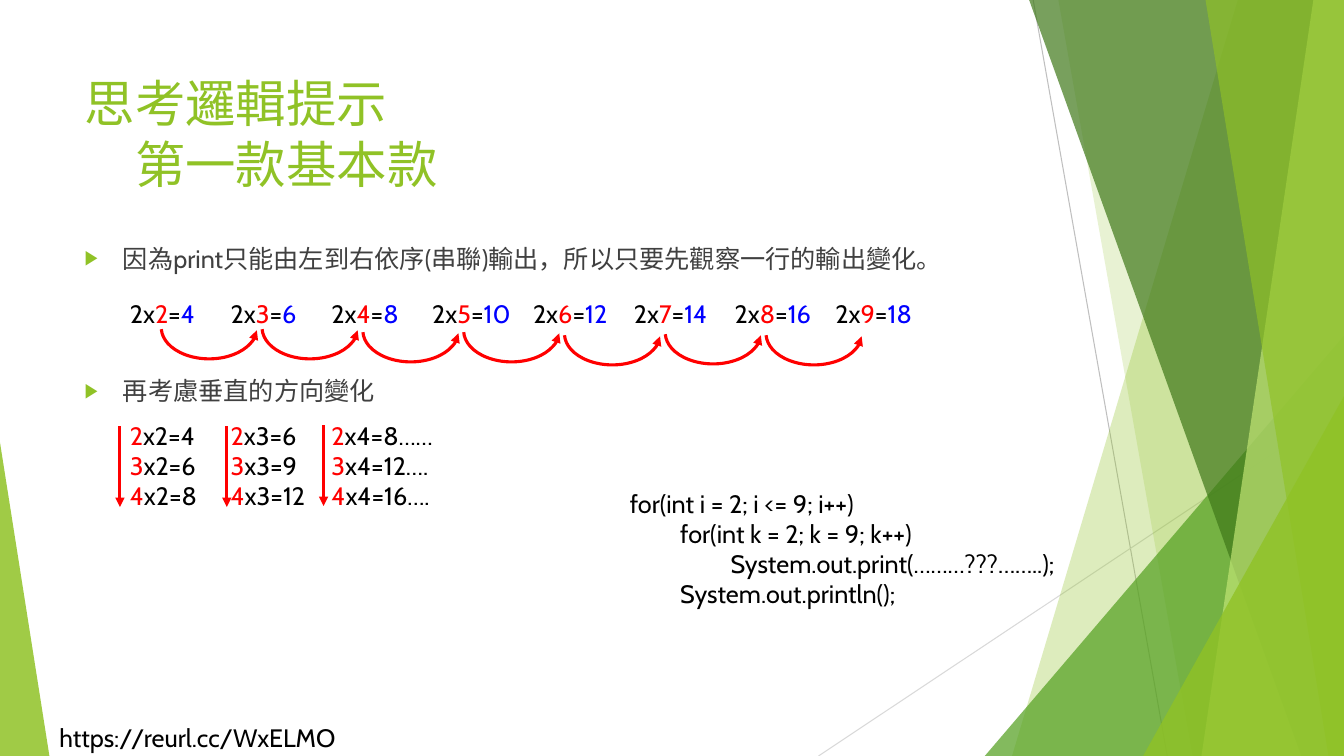
from dataclasses import dataclass

from lxml import etree
from pptx import Presentation
from pptx.dml.color import RGBColor
from pptx.enum.shapes import MSO_CONNECTOR, MSO_SHAPE
from pptx.enum.text import MSO_ANCHOR, MSO_AUTO_SIZE, PP_ALIGN
from pptx.oxml.ns import qn
from pptx.shapes.base import BaseShape
from pptx.slide import Slide
from pptx.text.text import TextFrame, _Paragraph as Paragraph
from pptx.util import Inches, Pt

STRAIGHT = MSO_CONNECTOR.STRAIGHT
TRIANGLE = MSO_SHAPE.ISOSCELES_TRIANGLE
ARC = MSO_SHAPE.ARC
TOP = MSO_ANCHOR.TOP
LEFT = PP_ALIGN.LEFT
FIXED_SIZE = MSO_AUTO_SIZE.NONE

COLUMNS, ROWS = 80, 45
CELL = Inches(1) // 6
FONT = "Cabin"
COLORS = {
    "lime": "90C226", "green": "54A021", "forest": "3F7819", "pale": "C0E474",
    "gray": "BFBFBF", "silver": "D9D9D9", "text": "404040",
    "black": "000000", "white": "FFFFFF", "red": "FF0000", "blue": "0000FF",
}
FRAME_FORMAT = {"word_wrap": True, "auto_size": FIXED_SIZE, "vertical_anchor": TOP}


@dataclass
class Box:
    column: float
    row: float
    width: float
    height: float


@dataclass
class Line:
    start: tuple[float, float]
    end: tuple[float, float]
    color: str
    weight: float
    arrow: bool = False


@dataclass
class Band:
    top: float
    bottom: float
    color: str
    opacity: int


@dataclass
class Corner:
    box: Box
    apex: float
    color: str
    opacity: int


@dataclass
class Piece:
    text: str
    color: str = "black"


BACKGROUND_LINES = [
    Line((61.5, 0), (69.48, ROWS), "gray", 0.75),
    Line((COLUMNS, 24.18), (48.72, ROWS), "silver", 0.75),
]
FACETS = [
    Band(73.68, 60.24, "lime", 30),
    Band(63, 70.98, "lime", 20),
    Corner(Box(58.62, 19.98, 21.38, 25.02), 1, "green", 72),
    Band(61.26, 77.46, "forest", 70),
    Band(78.18, 71.52, "pale", 70),
    Band(71.76, 79.08, "lime", 65),
    Corner(Box(68.04, 23.58, 11.96, 21.42), 1, "lime", 80),
    Corner(Box(0, 26.34, 2.94, 18.66), 0, "lime", 85),
]
ARC_ROWS = [17.64, 17.64, 17.82, 17.82, 18, 17.94, 18]
DOWN_ARROWS = [(7.14, 25.38), (13.5, 25.38), (19.26, 25.32)]
ROW_ENDINGS = {2: "……", 3: "….", 4: "…."}
BULLETS = [
    ("因為print只能由左到右依序(串聯)輸出，所以只要先觀察一行的輸出變化。", 0),
    ("再考慮垂直的方向變化", 73),
]
CODE = [
    "for(int i = 2; i <= 9; i++)",
    "\tfor(int k = 2; k = 9; k++)",
    "\t\tSystem.out.print(………???……..);",
    "\tSystem.out.println();",
]


def cells(count: float) -> int:
    return round(count * CELL)


def rgb(name: str) -> RGBColor:
    return RGBColor.from_string(COLORS[name])


def bounds(box: Box) -> list[int]:
    return [cells(side) for side in (box.column, box.row, box.width, box.height)]


def place(shape: BaseShape, box: Box) -> None:
    for name, value in zip(("left", "top", "width", "height"), bounds(box)):
        setattr(shape, name, value)


def format_frame(frame: TextFrame) -> None:
    for name, value in FRAME_FORMAT.items():
        setattr(frame, name, value)


def add_piece(paragraph: Paragraph, piece: Piece, size: float = 18) -> None:
    run = paragraph.add_run()
    run.text = piece.text
    for name, value in {"name": FONT, "size": Pt(size)}.items():
        setattr(run.font, name, value)
    run.font.color.rgb = rgb(piece.color)


def add_text(slide: Slide, box: Box, lines: list[list[Piece]]) -> BaseShape:
    shape = slide.shapes.add_textbox(*bounds(box))
    format_frame(shape.text_frame)
    for index, pieces in enumerate(lines):
        paragraph = shape.text_frame.add_paragraph() if index else shape.text_frame.paragraphs[0]
        for piece in pieces:
            add_piece(paragraph, piece)
    return shape


def style_line(shape: BaseShape, color: str, weight: float, arrow_end: str = "") -> None:
    shape.line.color.rgb = rgb(color)
    shape.line.width = Pt(weight)
    if arrow_end:
        outline = shape.element.spPr.find(qn("a:ln"))
        etree.SubElement(outline, qn(f"a:{arrow_end}"), type="triangle")


def add_line(slide: Slide, line: Line) -> None:
    ends = [cells(value) for value in (*line.start, *line.end)]
    connector = slide.shapes.add_connector(STRAIGHT, *ends)
    style_line(connector, line.color, line.weight, "tailEnd" if line.arrow else "")
    etree.SubElement(connector.element.spPr, qn("a:effectLst"))


def add_facet(slide: Slide, facet: Band | Corner) -> None:
    if isinstance(facet, Corner):
        shape = slide.shapes.add_shape(TRIANGLE, *bounds(facet.box))
        shape.adjustments[0] = facet.apex
    else:
        builder = slide.shapes.build_freeform(cells(facet.top), 0)
        corners = [(COLUMNS, 0), (COLUMNS, ROWS), (facet.bottom, ROWS)]
        builder.add_line_segments([(cells(x), cells(y)) for x, y in corners])
        shape = builder.convert_to_shape()
    shape.shadow.inherit = False
    shape.line.fill.background()
    shape.fill.solid()
    shape.fill.fore_color.rgb = rgb(facet.color)
    color = shape.element.spPr.find(f"{qn('a:solidFill')}/{qn('a:srgbClr')}")
    etree.SubElement(color, qn("a:alpha"), val=str(facet.opacity * 1000))


def add_arc(slide: Slide, box: Box) -> None:
    shape = slide.shapes.add_shape(ARC, *bounds(box))
    shape.adjustments[0], shape.adjustments[1] = 1.94, 106.85
    shape.shadow.inherit = False
    shape.fill.background()
    style_line(shape, "red", 2.25, "headEnd")


def fill_title(slide: Slide) -> None:
    title = slide.shapes.title
    place(title, Box(4.44, 4.02, 56.4, 8.64))
    format_frame(title.text_frame)
    paragraph = title.text_frame.paragraphs[0]
    paragraph.alignment = LEFT
    add_piece(paragraph, Piece("思考邏輯提示", "lime"), 36)
    paragraph.add_line_break()
    add_piece(paragraph, Piece("\t第一款基本款", "lime"), 36)


def fill_body(slide: Slide) -> None:
    body = slide.placeholders[1]
    place(body, Box(4.44, 14.16, 56.4, 25.44))
    format_frame(body.text_frame)
    for index, (text, space) in enumerate(BULLETS):
        paragraph = body.text_frame.add_paragraph() if index else body.text_frame.paragraphs[0]
        properties = paragraph._p.get_or_add_pPr()
        properties.set("marL", str(Inches(0.38)))
        properties.set("indent", str(-Inches(0.38)))
        bullet_color = etree.SubElement(properties, qn("a:buClr"))
        etree.SubElement(bullet_color, qn("a:srgbClr"), val=COLORS["lime"])
        etree.SubElement(properties, qn("a:buSzPct"), val="80000")
        etree.SubElement(properties, qn("a:buChar"), char="▶")
        paragraph.space_before = Pt(space)
        add_piece(paragraph, Piece(text, "text"))


def horizontal_products() -> list[Piece]:
    pieces = []
    for factor in range(2, 10):
        gap = "\t" if factor < 9 else ""
        pieces += [Piece("2x"), Piece(str(factor), "red"), Piece("="), Piece(f"{2 * factor}{gap}", "blue")]
    return pieces


def vertical_products(row: int) -> list[Piece]:
    pieces = []
    for factor in range(2, 5):
        ending = "\t" if factor < 4 else ROW_ENDINGS[row]
        pieces += [Piece(str(row), "red"), Piece(f"x{factor}={row * factor}{ending}")]
    return pieces


def main() -> None:
    presentation = Presentation()
    presentation.slide_width, presentation.slide_height = cells(COLUMNS), cells(ROWS)
    slide = presentation.slides.add_slide(presentation.slide_layouts[1])
    fill_title(slide)
    fill_body(slide)
    for line in BACKGROUND_LINES:
        add_line(slide, line)
    for facet in FACETS:
        add_facet(slide, facet)
    add_text(slide, Box(2.94, 42.72, 18.72, 2.4), [[Piece("https://reurl.cc/WxELMO")]])
    add_text(slide, Box(7.14, 17.46, 48.36, 2.4), [horizontal_products()])
    add_text(slide, Box(7.14, 24.72, 40.02, 6.06), [vertical_products(row) for row in ROW_ENDINGS])
    for index, row in enumerate(ARC_ROWS):
        add_arc(slide, Box(9.6 + 6 * index, row, 5.7, 3.72))
    for column, row in DOWN_ARROWS:
        add_line(slide, Line((column, row), (column, row + 4.8), "red", 2.25, True))
    add_text(slide, Box(36.9, 28.74, 28.74, 7.86), [[Piece(text)] for text in CODE])
    presentation.save("out.pptx")


if __name__ == "__main__":
    main()
